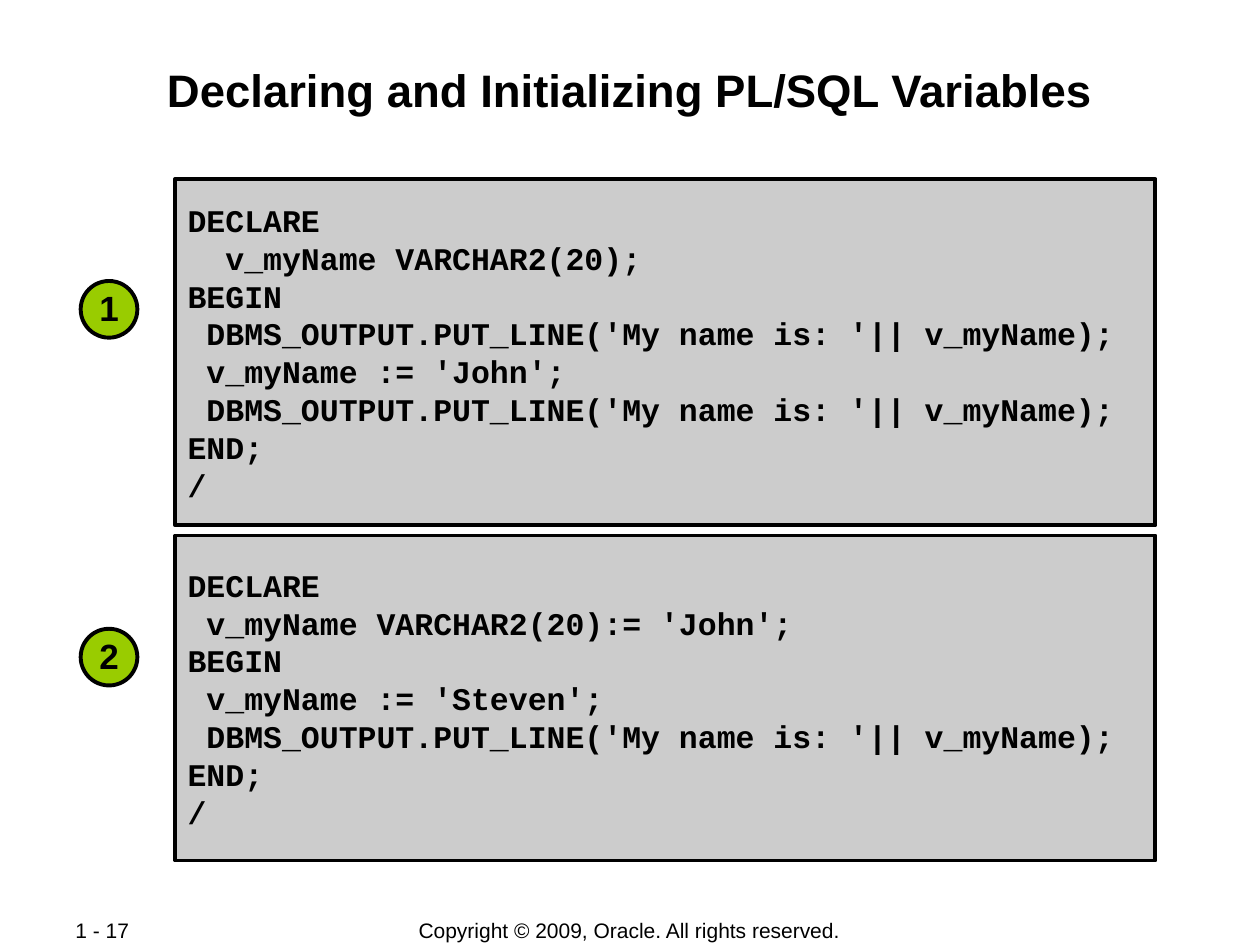
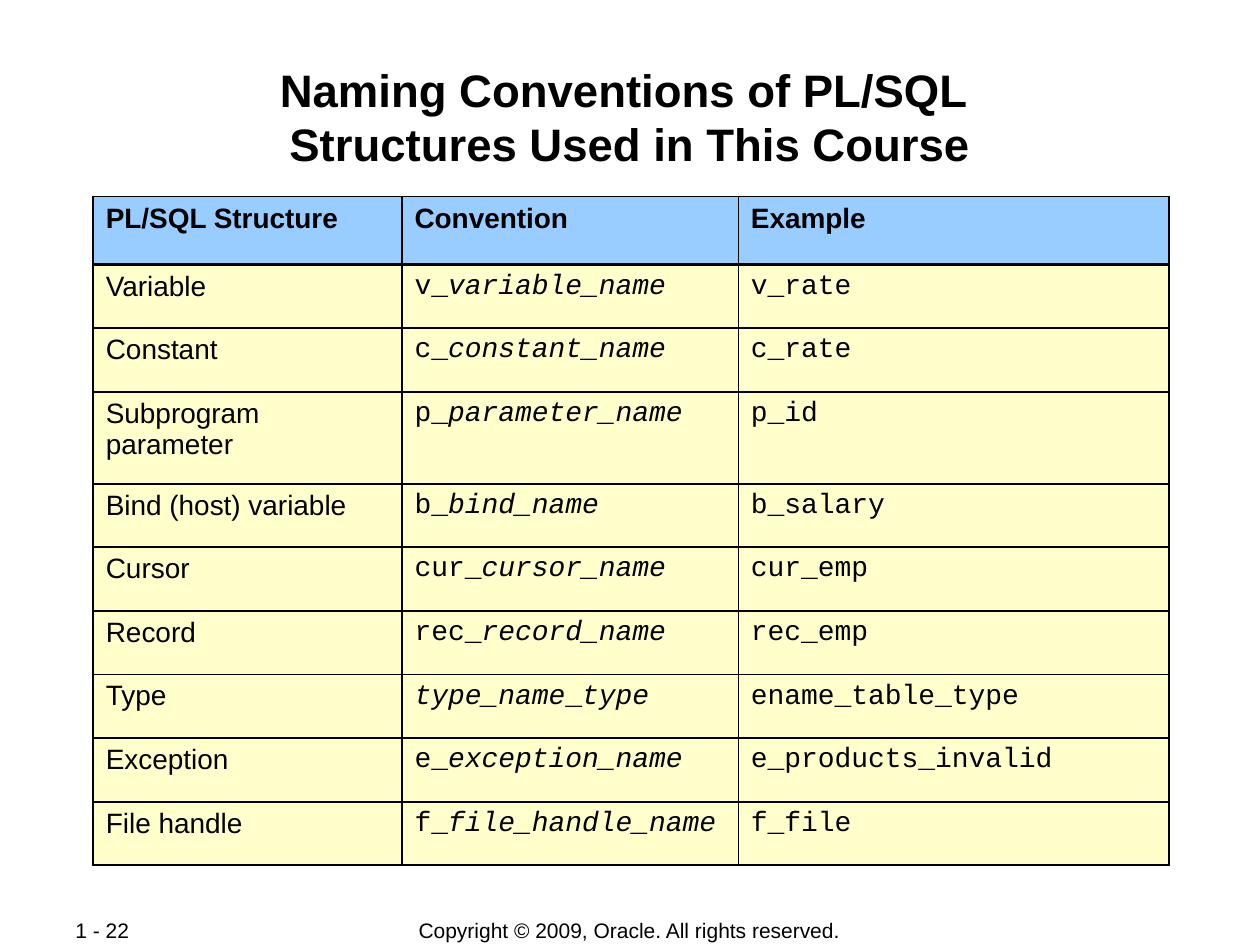
from lxml import etree
from pptx import Presentation
from pptx import util as u
from pptx.dml.color import RGBColor
from pptx.enum import shapes, text
from pptx.oxml import ns

COLOURS = {
    "black": "000000",
    "white": "FFFFFF",
    "code": "CCCCCC",
    "badge": "99CC00",
    "header": "99CCFF",
    "body": "FFFFCC",
}
SANS, MONO = "Arial", "Courier New"
COPYRIGHT = "Copyright © 2009, Oracle. All rights reserved."

DECLARE_THEN_ASSIGN = """DECLARE
  v_myName VARCHAR2(20);
BEGIN\v DBMS_OUTPUT.PUT_LINE('My name is: '|| v_myName);
 v_myName := 'John';
 DBMS_OUTPUT.PUT_LINE('My name is: '|| v_myName);
END;
/"""

DECLARE_WITH_VALUE = """DECLARE
 v_myName VARCHAR2(20):= 'John';
BEGIN
 v_myName := 'Steven';
 DBMS_OUTPUT.PUT_LINE('My name is: '|| v_myName);
END;
/"""

NAMING_ROWS = [
    ("PL/SQL Structure", "Convention", "Example"),
    ("Variable", "v_*variable_name*", "v_rate"),
    ("Constant", "c_*constant_name*", "c_rate"),
    ("Subprogram parameter", "p_*parameter_name*", "p_id"),
    ("Bind (host) variable", "b_*bind_name*", "b_salary"),
    ("Cursor", "cur_*cursor_name*", "cur_emp"),
    ("Record", "rec_*record_name*", "rec_emp"),
    ("Type", "*type_name*_*type*", "ename_table_type"),
    ("Exception", "e_*exception_name*", "e_products_invalid"),
    ("File handle", "f_*file_handle_name*", "f_file"),
]


def colour(name):
    return RGBColor.from_string(COLOURS[name])


def inches(*lengths):
    return [u.Inches(length) for length in lengths]


def write(frame, content, font=SANS, size=16, bold=False, align=text.PP_ALIGN.LEFT,
          spacing=None):
    """Write one paragraph a line; *stars* mark italics and \\v breaks a line."""
    for index, line in enumerate(content.split("\n")):
        paragraph = frame.paragraphs[0] if index == 0 else frame.add_paragraph()
        paragraph.alignment = align
        paragraph.space_before = u.Pt(0)
        if spacing:
            paragraph.line_spacing = spacing
        for part_index, part in enumerate(line.split("*")):
            for piece_index, piece in enumerate(part.split("\v")):
                if piece_index:
                    paragraph.add_line_break()
                if not piece:
                    continue
                run = paragraph.add_run()
                run.text = piece
                run.font.name = font
                run.font.size = u.Pt(size)
                run.font.bold = bold
                run.font.italic = part_index % 2 == 1
                run.font.color.rgb = colour("black")


def set_frame(frame, anchor, horizontal, vertical):
    frame.word_wrap = True
    frame.auto_size = text.MSO_AUTO_SIZE.NONE
    frame.vertical_anchor = anchor
    frame.margin_left = frame.margin_right = u.Inches(horizontal)
    frame.margin_top = frame.margin_bottom = u.Inches(vertical)


def set_borders(cell, **widths):
    """Draw black borders; the keys are L, R, T and B, the widths are points."""
    properties = cell._tc.get_or_add_tcPr()
    for side, width in widths.items():
        line = etree.SubElement(properties, ns.qn(f"a:ln{side}"), w=str(u.Pt(width)))
        fill = etree.SubElement(line, ns.qn("a:solidFill"))
        etree.SubElement(fill, ns.qn("a:srgbClr"), val=COLOURS["black"])


class Lesson:
    """Holds the presentation, its style and the current slide."""

    def __init__(self):
        self.presentation = Presentation()
        self.presentation.slide_width = u.Inches(10)
        self.presentation.slide_height = u.Inches(7.5)
        self.slide = None

    def add_slide(self, title, number):
        self.slide = self.presentation.slides.add_slide(self.presentation.slide_layouts[5])
        self.slide.background.fill.solid()
        self.slide.background.fill.fore_color.rgb = colour("white")
        shape = self.slide.shapes.title
        shape.left, shape.top, shape.width, shape.height = inches(0.67, 0.48, 8.66, 0.96)
        set_frame(shape.text_frame, text.MSO_ANCHOR.TOP, 0.01, 0.01)
        write(shape.text_frame, title, size=26, bold=True,
              align=text.PP_ALIGN.CENTER, spacing=u.Pt(31.2))
        self.add_footer(COPYRIGHT, 2.75, 4.49, text.PP_ALIGN.CENTER)
        self.add_footer(f"1 - {number}", 0.5, 1.06, text.PP_ALIGN.JUSTIFY)

    def add_footer(self, content, left, width, align):
        shape = self.slide.shapes.add_textbox(*inches(left, 7.28, width, 0.21))
        set_frame(shape.text_frame, text.MSO_ANCHOR.MIDDLE, 0.1, 0.05)
        write(shape.text_frame, content, size=12, align=align)

    def add_outlined(self, preset, fill, left, top, width, height):
        shape = self.slide.shapes.add_shape(preset, *inches(left, top, width, height))
        shape.shadow.inherit = False
        shape.fill.solid()
        shape.fill.fore_color.rgb = colour(fill)
        shape.line.color.rgb = colour("black")
        shape.line.width = u.Pt(2.25)
        return shape

    def add_code(self, content, top, height):
        shape = self.add_outlined(shapes.MSO_SHAPE.RECTANGLE, "code", 1.39, top, 7.78, height)
        set_frame(shape.text_frame, text.MSO_ANCHOR.MIDDLE, 0.1, 0.01)
        write(shape.text_frame, content, font=MONO, size=18, bold=True, spacing=u.Pt(21.6))

    def add_badge(self, number, top):
        shape = self.add_outlined(shapes.MSO_SHAPE.OVAL, "badge", 0.64, top, 0.45, 0.45)
        set_frame(shape.text_frame, text.MSO_ANCHOR.MIDDLE, 0.05, 0.05)
        write(shape.text_frame, str(number), size=20, bold=True,
              align=text.PP_ALIGN.CENTER, spacing=0.95)

    def add_table(self, rows, column_widths, left, top, height, special_heights):
        """Rows missing from special_heights share the remaining height equally."""
        shared = (height - sum(special_heights.values())) / (len(rows) - len(special_heights))
        table = self.slide.shapes.add_table(
            len(rows), len(column_widths),
            *inches(left, top, sum(column_widths), height)).table
        table.first_row = table.horz_banding = False
        for column, width in zip(table.columns, column_widths):
            column.width = u.Inches(width)
        for row_index, row in enumerate(rows):
            table.rows[row_index].height = u.Inches(special_heights.get(row_index, shared))
            header = row_index == 0
            for column_index, content in enumerate(row):
                cell = table.cell(row_index, column_index)
                set_borders(cell, L=1.08, R=1.08, T=2.21 if row_index == 1 else 1.08,
                            B=2.21 if header else 1.08)
                cell.fill.solid()
                cell.fill.fore_color.rgb = colour("header" if header else "body")
                write(cell.text_frame, content, bold=header,
                      font=SANS if header or column_index == 0 else MONO)


def main():
    lesson = Lesson()

    lesson.add_slide("Declaring and Initializing PL/SQL Variables", 17)
    lesson.add_code(DECLARE_THEN_ASSIGN, 1.42, 2.75)
    lesson.add_code(DECLARE_WITH_VALUE, 4.25, 2.58)
    for number, top in enumerate((2.23, 4.99), start=1):
        lesson.add_badge(number, top)

    lesson.add_slide("Naming Conventions of PL/SQL \vStructures Used in This Course", 22)
    lesson.add_table(NAMING_ROWS, (2.45, 2.67, 3.42), left=0.74, top=1.56, height=5.31,
                     special_heights={0: 0.54, 3: 0.73})

    lesson.presentation.save("out.pptx")


if __name__ == "__main__":
    main()
